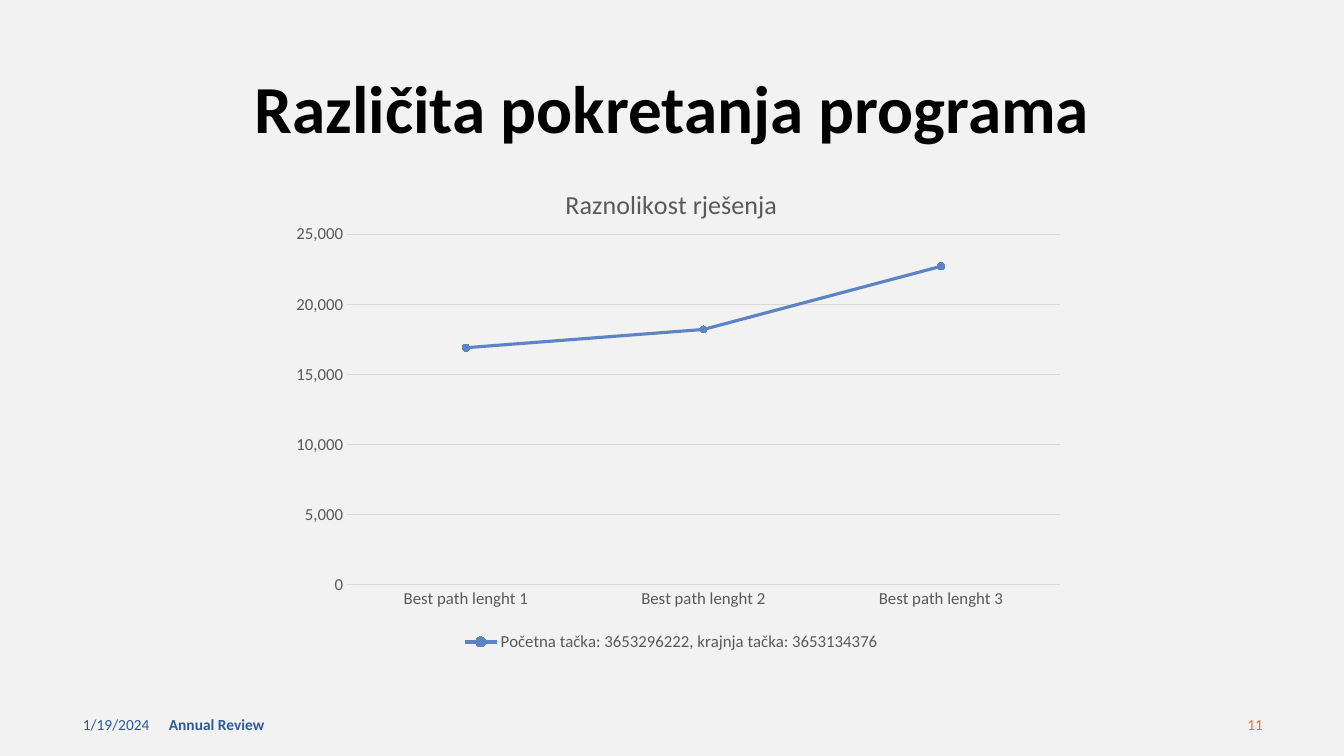
import pptx
import pptx.chart.data
import pptx.dml.color
import pptx.enum.chart
import pptx.enum.text
import pptx.oxml
import pptx.oxml.ns
import pptx.util

RGBColor = pptx.dml.color.RGBColor
Align = pptx.enum.text.PP_ALIGN

BACKGROUND = RGBColor(0xF2, 0xF2, 0xF2)
BLACK = RGBColor(0, 0, 0)
NAVY = RGBColor(0x2C, 0x59, 0x9D)
ORANGE = RGBColor(0xFA, 0x6F, 0x1A)
GREY = RGBColor(0x59, 0x59, 0x59)
GRID = RGBColor(0xD9, 0xD9, 0xD9)
BLUE = RGBColor(0x5C, 0x83, 0xC4)

FONT = "Calibri"
EMU_PER_PX = 914400 / 100.8
SLIDE_SIZE = (1344, 756)

TITLE = "Različita pokretanja programa"
TITLE_BOX = (93, 73, 1159, 78)

FOOTER_TOP, FOOTER_HEIGHT = 704, 40
FOOTERS = [  # text, left, width, colour, bold, alignment
    ("1/19/2024", 73, 302, NAVY, False, Align.LEFT),
    ("Annual Review", 159, 454, NAVY, True, Align.LEFT),
    ("11", 971, 302, ORANGE, False, Align.RIGHT),
]

CHART_BOX = (272, 166, 799, 490)
CHART_TITLE = "Raznolikost rješenja"
CATEGORIES = [f"Best path lenght {run}" for run in (1, 2, 3)]
SERIES_NAME = "Početna tačka: 3653296222, krajnja tačka: 3653134376"
LENGTHS = (16900, 18200, 22700)
PLOT_AREA = {"x": 0.094, "y": 0.139, "w": 0.892, "h": 0.716}


def px(*lengths):
    return [round(length * EMU_PER_PX) for length in lengths]


def set_font(font, size, color, bold=False):
    font.name = FONT
    font.size = pptx.util.Pt(size)
    font.bold = bold
    font.color.rgb = color


def set_line(line, color, width):
    line.color.rgb = color
    line.width = pptx.util.Pt(width)


def add_title(slide):
    title = slide.shapes.title
    title.left, title.top, title.width, title.height = px(*TITLE_BOX)
    frame = title.text_frame
    frame.text = TITLE
    frame.auto_size = pptx.enum.text.MSO_AUTO_SIZE.NONE
    frame.vertical_anchor = pptx.enum.text.MSO_ANCHOR.MIDDLE
    para = frame.paragraphs[0]
    para.alignment = Align.CENTER
    para.line_spacing = 0.9
    set_font(para.font, 48, BLACK, True)


def add_footer(slide, text, left, width, color, bold, alignment):
    box = slide.shapes.add_textbox(*px(left, FOOTER_TOP, width, FOOTER_HEIGHT))
    frame = box.text_frame
    frame.word_wrap = True
    frame.vertical_anchor = pptx.enum.text.MSO_ANCHOR.MIDDLE
    para = frame.paragraphs[0]
    para.text = text
    para.alignment = alignment
    set_font(para.font, 11, color, bold)


def place_plot_area(chart):
    """Fix the inner plot area as fractions of the chart."""
    places = "".join(f'<c:{key}Mode val="edge"/>' for key in "xy")
    places += "".join(f'<c:{key} val="{part}"/>' for key, part in PLOT_AREA.items())
    layout = pptx.oxml.parse_xml(
        f'<c:layout {pptx.oxml.ns.nsdecls("c")}><c:manualLayout>'
        f'<c:layoutTarget val="inner"/>{places}</c:manualLayout></c:layout>')
    plot_area = chart.plots[0]._element.getparent()
    for old_layout in plot_area.findall(pptx.oxml.ns.qn("c:layout")):
        plot_area.remove(old_layout)
    plot_area.insert(0, layout)


def style_axes(chart):
    for axis in (chart.category_axis, chart.value_axis):
        axis.major_tick_mark = pptx.enum.chart.XL_TICK_MARK.NONE
        axis.minor_tick_mark = pptx.enum.chart.XL_TICK_MARK.NONE
        set_font(axis.tick_labels.font, 12, GREY)
    set_line(chart.category_axis.format.line, GRID, 0.75)
    values = chart.value_axis
    values.minimum_scale, values.maximum_scale, values.major_unit = 0, 25000, 5000
    values.format.line.fill.background()
    values.has_major_gridlines = True
    set_line(values.major_gridlines.format.line, GRID, 0.75)
    values.tick_labels.number_format = "#,##0"
    values.tick_labels.number_format_is_linked = False


def style_series(series):
    series.smooth = False
    set_line(series.format.line, BLUE, 2.25)
    marker = series.marker
    marker.style = pptx.enum.chart.XL_MARKER_STYLE.CIRCLE
    marker.size = 5
    marker.format.fill.solid()
    marker.format.fill.fore_color.rgb = BLUE
    set_line(marker.format.line, BLUE, 0.75)


def add_length_chart(slide):
    data = pptx.chart.data.CategoryChartData(number_format="#,##0")
    data.categories = CATEGORIES
    data.add_series(SERIES_NAME, LENGTHS)
    chart = slide.shapes.add_chart(
        pptx.enum.chart.XL_CHART_TYPE.LINE_MARKERS_STACKED, *px(*CHART_BOX), data).chart
    set_font(chart.font, 10, BLACK)
    chart.has_title = True
    chart.chart_title.include_in_layout = False
    chart.chart_title.text_frame.text = CHART_TITLE
    set_font(chart.chart_title.text_frame.paragraphs[0].font, 18.6, GREY)
    chart.has_legend = True
    chart.legend.position = pptx.enum.chart.XL_LEGEND_POSITION.BOTTOM
    chart.legend.include_in_layout = False
    set_font(chart.legend.font, 12, GREY)
    chart.plots[0].vary_by_categories = False
    place_plot_area(chart)
    style_axes(chart)
    style_series(chart.plots[0].series[0])


def main():
    deck = pptx.Presentation()
    deck.slide_width, deck.slide_height = px(*SLIDE_SIZE)
    slide = deck.slides.add_slide(deck.slide_layouts.get_by_name("Title Only"))
    slide.background.fill.solid()
    slide.background.fill.fore_color.rgb = BACKGROUND
    for footer in FOOTERS:
        add_footer(slide, *footer)
    add_title(slide)
    add_length_chart(slide)
    deck.save("out.pptx")


if __name__ == "__main__":
    main()
